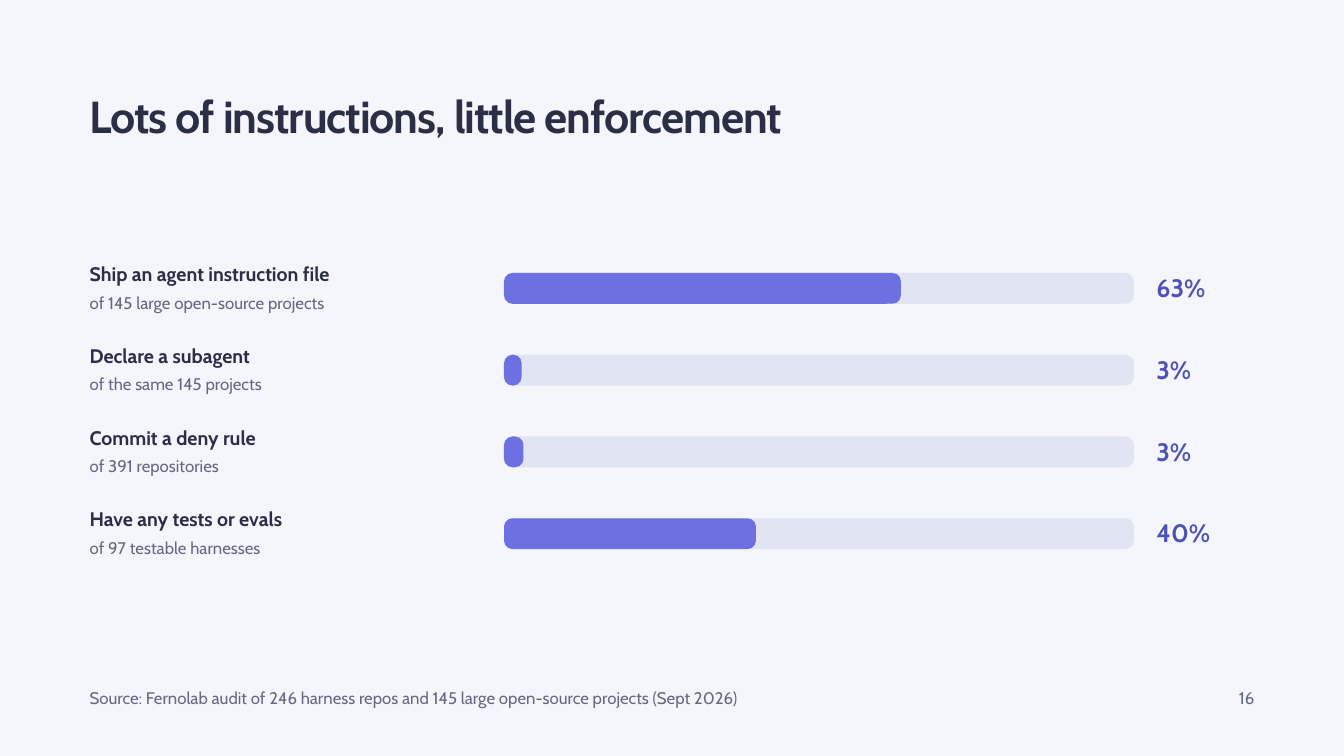
from pptx import Presentation
from pptx.dml.color import RGBColor
from pptx.enum import shapes, text
from pptx.util import Pt

FONT = "Cabin"
COLORS = {
    "background": "F5F6FB",
    "ink": "2B2F45",
    "muted": "646983",
    "track": "E1E4F2",
    "bar": "6C70E0",
    "percent": "4E52B8",
}
FINDINGS = [
    ("Ship an agent instruction file", "of 145 large open-source projects", 0.63, "63%"),
    ("Declare a subagent", "of the same 145 projects", 0.028, "3%"),
    ("Commit a deny rule", "of 391 repositories", 0.031, "3%"),
    ("Have any tests or evals", "of 97 testable harnesses", 0.4, "40%"),
]
SOURCE = "Source: Fernolab audit of 246 harness repos and 145 large open-source projects (Sept 2026)"


def rgb(name):
    """Return the named palette colour."""
    return RGBColor.from_string(COLORS[name])


def add_text(slide, box, words, size, color, leading, bold=False, align=text.PP_ALIGN.LEFT):
    """Place one line of text in a box without margins and return its run."""
    frame = slide.shapes.add_textbox(*map(Pt, box)).text_frame
    frame.margin_left = frame.margin_top = frame.margin_right = frame.margin_bottom = 0
    frame.word_wrap = True
    frame.text = words
    line = frame.paragraphs[0]
    line.alignment = align
    line.line_spacing = Pt(leading)
    run = line.runs[0]
    run.font.name = FONT
    run.font.size = Pt(size)
    run.font.bold = bold
    run.font.color.rgb = rgb(color)
    return run


def add_bar(slide, box, color, radius=9):
    """Draw a filled bar whose corners keep a fixed radius."""
    bar = slide.shapes.add_shape(shapes.MSO_SHAPE.ROUNDED_RECTANGLE, *map(Pt, box))
    bar.adjustments[0] = min(0.5, radius / min(box[2:]))
    bar.shadow.inherit = False
    bar.fill.solid()
    bar.fill.fore_color.rgb = rgb(color)
    bar.line.fill.background()


def add_title(slide, box):
    """Set the tightly spaced headline."""
    headline = add_text(slide, box, "Lots of instructions, little enforcement", 48, "ink", 52.8, True)
    headline._r.get_or_add_rPr().set("spc", "-110")


def add_finding(slide, box, finding):
    """Lay out one row: label and sample, bar on its track, percentage."""
    left, top, width, height = box
    label, sample, share, percent = finding
    bar_left, bar_top, bar_width, bar_height = left + 444, top + 16, 675, 33
    add_text(slide, (left, top, 433, 36), label, 21, "ink", 29.4, True)
    add_text(slide, (left, top + 33.2, 433, 31), sample, 18, "muted", 25.2)
    add_bar(slide, (bar_left, bar_top, bar_width, bar_height), "track")
    add_bar(slide, (bar_left, bar_top, bar_width * share, bar_height), "bar")
    percent_left = bar_left + bar_width + 24
    add_text(slide, (percent_left, top + 10, left + width - percent_left, 44.6),
             percent, 27, "percent", 37.8, True)


def add_findings(slide, box):
    """Stack the findings in rows of equal height."""
    left, top, width, height = box
    row_height = height / len(FINDINGS)
    for index, finding in enumerate(FINDINGS):
        add_finding(slide, (left, top + index * row_height, width, row_height), finding)


def add_footer(slide, box):
    """Put the source on the left and the page number on the right."""
    left, top, width, height = box
    add_text(slide, (left, top, 942, height), SOURCE, 18, "muted", 25.2)
    add_text(slide, (left + width - 40, top, 40, height), "16", 18, "muted", 25.2,
             align=text.PP_ALIGN.RIGHT)


def main():
    """Build the slide and save it."""
    deck = Presentation()
    deck.slide_width, deck.slide_height = Pt(1440), Pt(810)
    slide = deck.slides.add_slide(deck.slide_layouts[6])
    slide.background.fill.solid()
    slide.background.fill.fore_color.rgb = rgb("background")
    add_title(slide, (96, 100, 1285, 52))
    add_findings(slide, (96, 276.5, 1248, 350.4))
    add_footer(slide, (96, 733.7, 1248, 31))
    deck.save("out.pptx")


if __name__ == "__main__":
    main()
